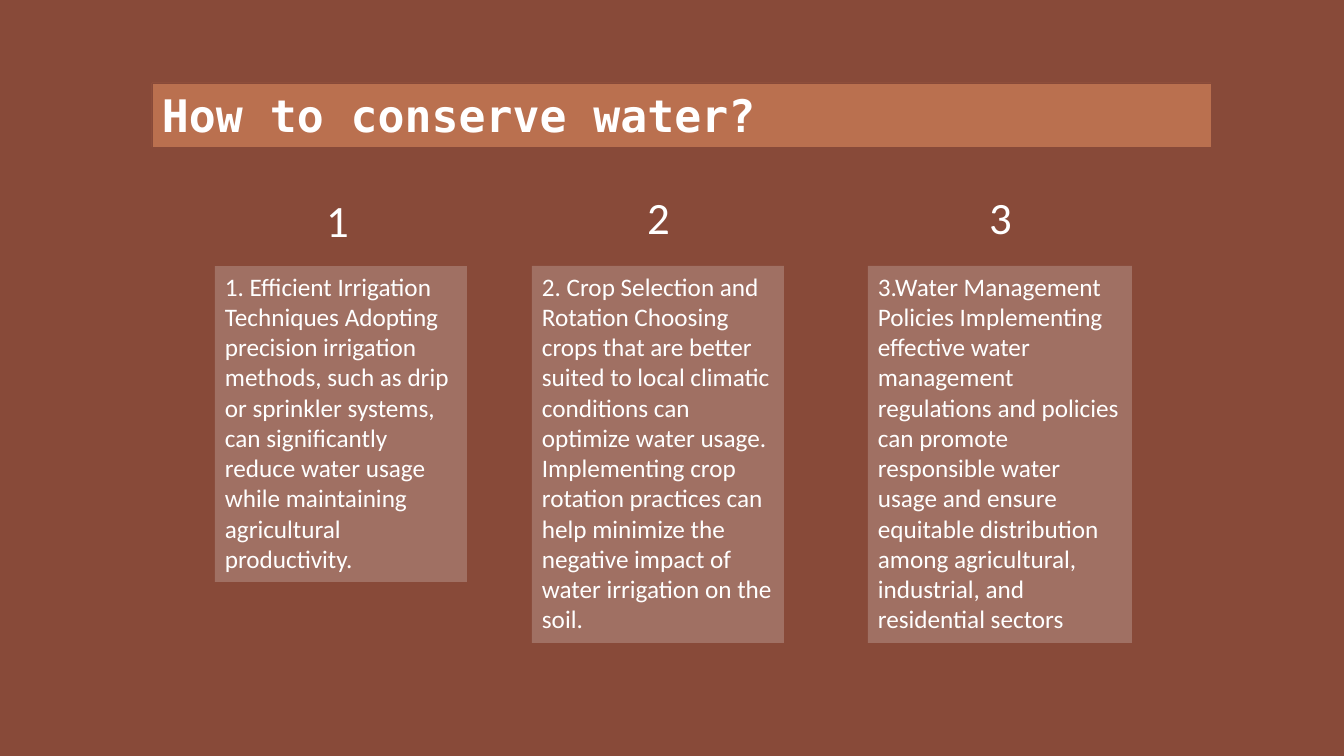
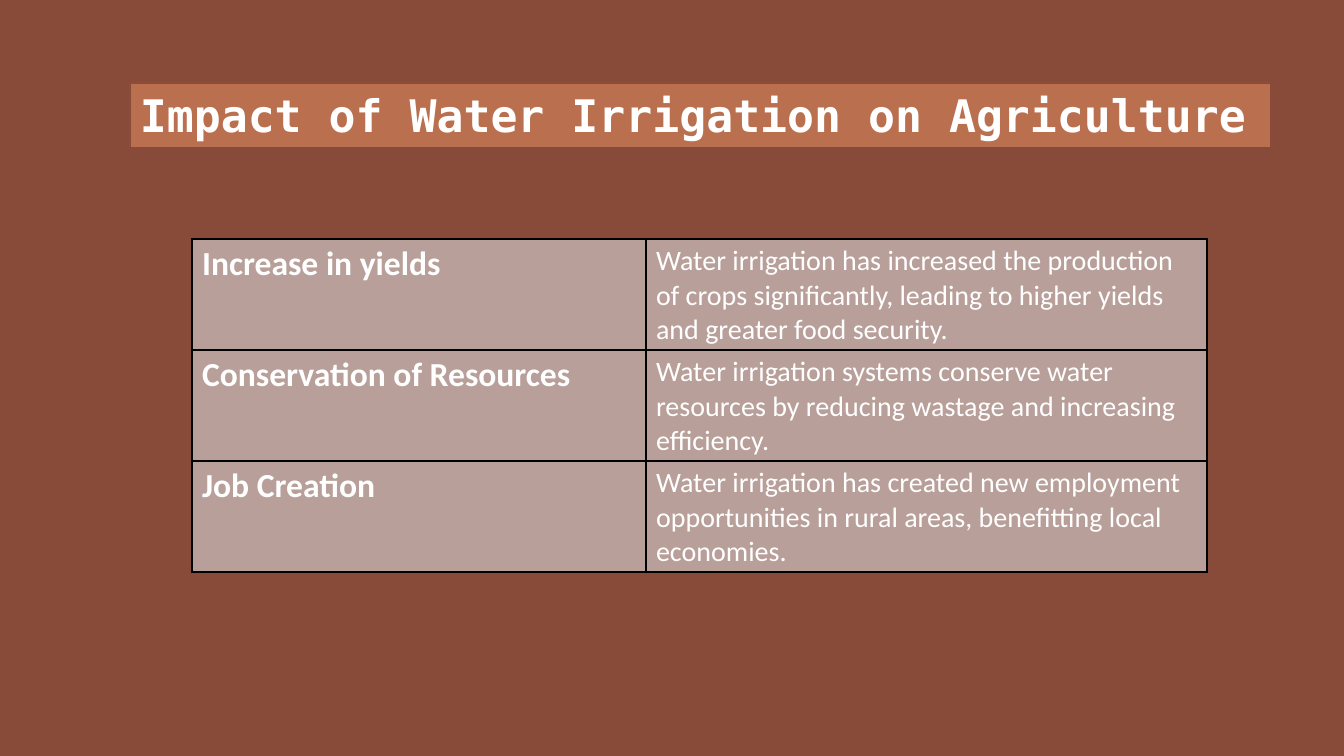
from lxml import etree
from pptx import Presentation
from pptx.dml.color import RGBColor
from pptx.enum.shapes import MSO_SHAPE
from pptx.enum.text import MSO_ANCHOR, MSO_AUTO_SIZE, PP_ALIGN
from pptx.oxml.ns import qn
from pptx.util import Emu, Pt

BROWN, COPPER, WHITE, BLACK = "884A39", "BA704F", "FFFFFF", "000000"
PALE, GREY = "F2F2F2", "D9D9D9"
BODY, MONO = "Calibri", "DejaVu Sans Mono"
SCALE = 914400 / 100.8

# Card left, width, height; number left, top; text
CARDS = [
    (215, 252, 316, 297, 185,
     "1. Efficient Irrigation Techniques Adopting precision irrigation methods, "
     "such as drip or sprinkler systems, can significantly reduce water usage "
     "while maintaining agricultural productivity."),
    (532, 252, 377, 618, 182,
     "2. Crop Selection and Rotation Choosing crops that are better suited to "
     "local climatic conditions can optimize water usage. Implementing crop "
     "rotation practices can help minimize the negative impact of water "
     "irrigation on the soil."),
    (868, 264, 377, 960, 182,
     "3.Water Management Policies Implementing effective water management "
     "regulations and policies can promote responsible water usage and ensure "
     "equitable distribution among agricultural, industrial, and residential "
     "sectors"),
]

IMPACTS = [
    ("Increase in yields",
     "Water irrigation has increased the production of crops significantly, "
     "leading to higher yields and greater food security."),
    ("Conservation of Resources",
     "Water irrigation systems conserve water resources by reducing wastage "
     "and increasing efficiency."),
    ("Job Creation",
     "Water irrigation has created new employment opportunities in rural "
     "areas, benefitting local economies."),
]


def px(n):
    return Emu(round(n * SCALE))


def color(code):
    return RGBColor.from_string(code)


def paint(fill, code, alpha=100):
    """Fill with a solid colour, alpha in percent."""
    fill.solid()
    fill.fore_color.rgb = color(code)
    if alpha < 100:
        tint = fill._xPr.find(qn("a:solidFill"))[0]
        etree.SubElement(tint, qn("a:alpha"), val=str(alpha * 1000))


def write(frame, text, size, font=BODY, bold=False, align=PP_ALIGN.LEFT):
    frame.text = text
    par = frame.paragraphs[0]
    par.alignment = align
    style = par.runs[0].font
    style.name, style.size, style.bold = font, Pt(size), bold
    style.color.rgb = color(WHITE)


def block(slide, kind, box, fill, alpha=100):
    shape = slide.shapes.add_shape(kind, *map(px, box))
    shape.shadow.inherit = False
    paint(shape.fill, fill, alpha)
    shape.line.fill.background()
    frame = shape.text_frame
    frame.word_wrap = True
    frame.vertical_anchor = MSO_ANCHOR.TOP
    return shape


def new_slide(deck, title, left, width):
    """Add a slide with the shared background and title band."""
    slide = deck.slides.add_slide(deck.slide_layouts[6])
    paint(slide.background.fill, BROWN)
    band = block(slide, MSO_SHAPE.RECTANGLE, (left, 83, width, 64), COPPER)
    band.line.color.rgb = color(BROWN)
    band.line.width = Pt(0.5)
    write(band.text_frame, title, 32, MONO, True)
    band.text_frame.auto_size = MSO_AUTO_SIZE.SHAPE_TO_FIT_TEXT
    return slide


def add_card(slide, left, width, height, text):
    card = block(slide, MSO_SHAPE.RECTANGLE, (left, 266, width, height), PALE, 23)
    write(card.text_frame, text, 18)
    card.text_frame.auto_size = MSO_AUTO_SIZE.SHAPE_TO_FIT_TEXT


def add_number(slide, left, top, num):
    badge = block(slide, MSO_SHAPE.ROUNDED_RECTANGLE, (left, top, 81, 70), BROWN)
    badge.text_frame.vertical_anchor = MSO_ANCHOR.MIDDLE
    write(badge.text_frame, str(num), 32, align=PP_ALIGN.CENTER)


def edge_cell(cell):
    """Draw a thin black border; borders come before the fill."""
    props = cell._tc.get_or_add_tcPr()
    for spot, side in enumerate(("lnL", "lnR", "lnT", "lnB")):
        line = etree.Element(qn("a:" + side), w=str(Pt(1)))
        solid = etree.SubElement(line, qn("a:solidFill"))
        etree.SubElement(solid, qn("a:srgbClr"), val=BLACK)
        props.insert(spot, line)


def add_grid(slide, rows, left, top, widths, height):
    box = (left, top, sum(widths), height * len(rows))
    table = slide.shapes.add_table(len(rows), len(widths), *map(px, box)).table
    table.first_row = table.horz_banding = False
    for col, width in zip(table.columns, widths):
        col.width = px(width)
    for i, row in enumerate(rows):
        table.rows[i].height = px(height)
        for j, text in enumerate(row):
            cell = table.cell(i, j)
            head = j == 0
            write(cell.text_frame, text, 24 if head else 20, bold=head)
            paint(cell.fill, GREY, 60)
            edge_cell(cell)


def main():
    deck = Presentation()
    deck.slide_width, deck.slide_height = px(1344), px(756)

    # Three ways to conserve water
    slide = new_slide(deck, "How to conserve water?", 152, 1059)
    for num, (left, width, height, x, y, text) in enumerate(CARDS, 1):
        add_card(slide, left, width, height, text)
        add_number(slide, x, y, num)

    # Impact table
    slide = new_slide(deck, "Impact of Water Irrigation on Agriculture", 130, 1140)
    add_grid(slide, IMPACTS, 192, 239, (454, 561), 111)

    deck.save("out.pptx")


if __name__ == "__main__":
    main()
